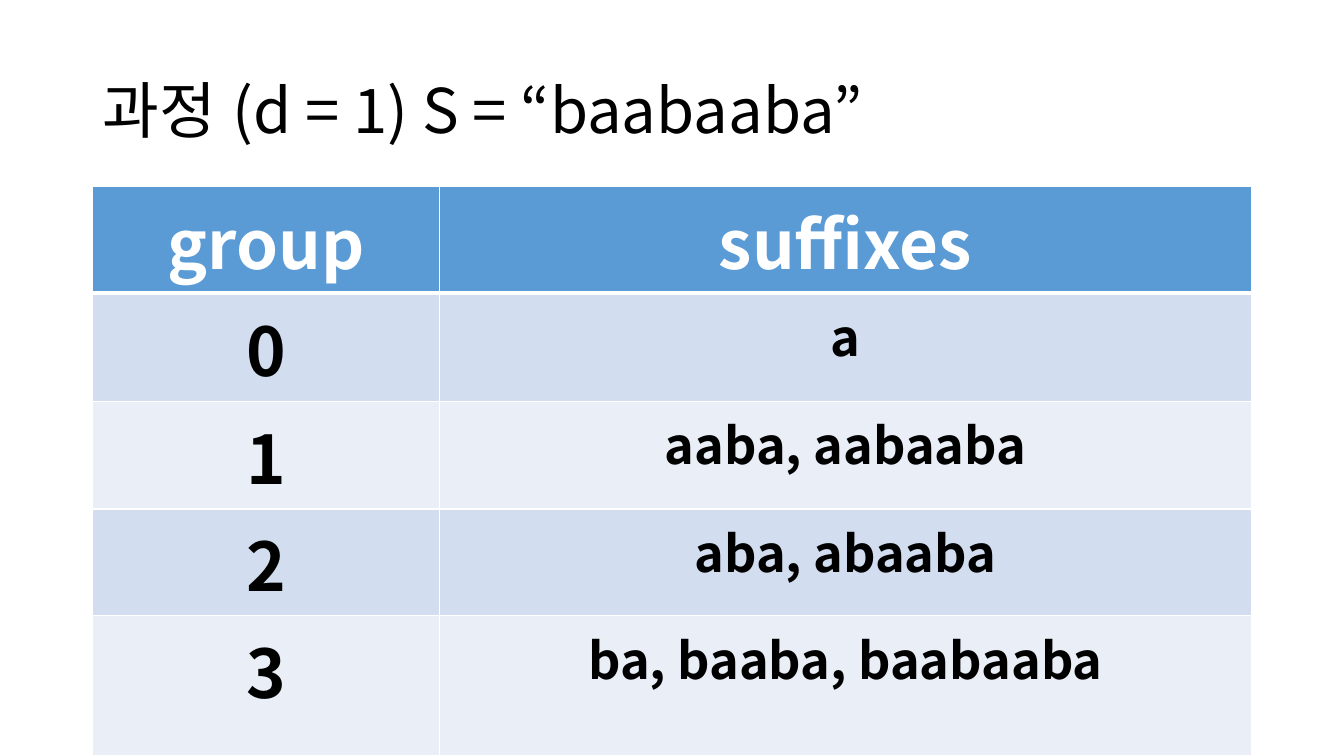
from lxml import etree
from pptx import Presentation
from pptx.dml.color import RGBColor
from pptx.enum.text import MSO_ANCHOR, PP_ALIGN
from pptx.oxml.ns import qn
from pptx.util import Inches, Pt

CENTER = PP_ALIGN.CENTER
MIDDLE = MSO_ANCHOR.MIDDLE
FONT = "Noto Sans CJK KR"
COLORS = {"head": "5B9BD5", "odd": "D2DEEF", "even": "EAEFF7",
          "white": "FFFFFF", "black": "000000"}


def add_run(para, text, size, color, bold=False):
    run = para.add_run()
    run.text = text
    run.font.size = Pt(size)
    run.font.bold = bold
    run.font.color.rgb = RGBColor.from_string(COLORS[color])
    run.font.name = FONT
    props = run._r.get_or_add_rPr()
    etree.SubElement(props, qn("a:ea"), typeface=FONT)
    return props


def add_border(cell, side, width):
    props = cell._tc.get_or_add_tcPr()
    line = etree.Element(qn("a:" + side), w=str(Pt(width)))
    fill = etree.SubElement(line, qn("a:solidFill"))
    etree.SubElement(fill, qn("a:srgbClr"), val=COLORS["white"])
    props.append(line)


deck = Presentation()
deck.slide_width, deck.slide_height = Inches(13.33), Inches(7.5)
slide = deck.slides.add_slide(deck.slide_layouts[6])

# Title, with a wider gap after the first word
box = slide.shapes.add_textbox(Inches(0.92), Inches(0.4), Inches(11.5), Inches(1.45))
frame = box.text_frame
frame.word_wrap = True
frame.vertical_anchor = MIDDLE
title = frame.paragraphs[0]
title.line_spacing = 0.9
add_run(title, "과정", 44, "black")
add_run(title, " ", 44, "black").set("spc", "200")
add_run(title, "(d = 1) S = “baabaaba”", 44, "black")

# Table of groups and their suffixes
rows = [("group", "suffixes"), ("0", "a"), ("1", "aaba, aabaaba"),
        ("2", "aba, abaaba"), ("3", "ba, baaba, baabaaba")]
widths = [3.44, 8.05]
heights = [1.06, 1.07, 1.07, 1.06, 1.39]
holder = slide.shapes.add_table(len(rows), len(widths), Inches(0.92), Inches(1.85),
                                Inches(sum(widths)), Inches(sum(heights)))
table = holder.table
for col, width in zip(table.columns, widths):
    col.width = Inches(width)
for row, height in zip(table.rows, heights):
    row.height = Inches(height)

for r, texts in enumerate(rows):
    fill = "head" if r == 0 else "odd" if r % 2 else "even"
    for c, text in enumerate(texts):
        cell = table.cell(r, c)
        # Borders go before the fill in the cell's XML
        for side in ("lnL", "lnR", "lnT", "lnB"):
            thick = (r == 0 and side == "lnB") or (r == 1 and side == "lnT")
            add_border(cell, side, 3 if thick else 1)
        cell.fill.solid()
        cell.fill.fore_color.rgb = RGBColor.from_string(COLORS[fill])
        para = cell.text_frame.paragraphs[0]
        para.alignment = CENTER
        add_run(para, text, 36 if r and c else 48, "black" if r else "white", True)

deck.save("out.pptx")
